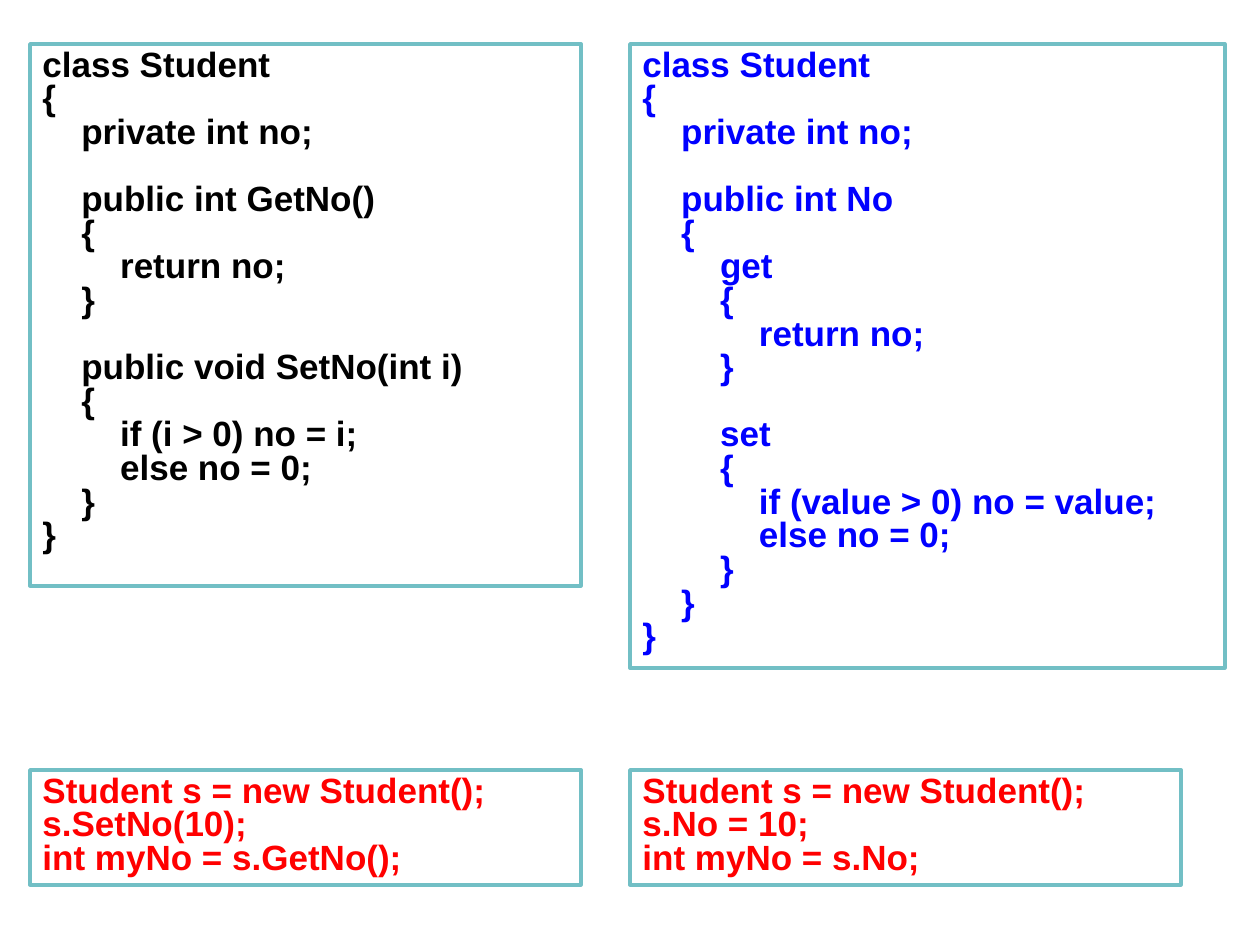
from pptx import Presentation
from pptx.dml.color import RGBColor
from pptx.enum.shapes import MSO_SHAPE as SHAPE
from pptx.enum.text import MSO_ANCHOR as ANCHOR, MSO_AUTO_SIZE as AUTO, PP_ALIGN as ALIGN
from pptx.util import Pt

PX = 914400 / 126  # EMU per px

BLACK = RGBColor(0x00, 0x00, 0x00)
BLUE = RGBColor(0x00, 0x00, 0xFF)
RED = RGBColor(0xFF, 0x00, 0x00)
TEAL = RGBColor(0x72, 0xBF, 0xC5)

LEFT, RIGHT = 30, 630
TOP, BOTTOM = 44, 770
WIDTH, USAGE_HEIGHT = 551, 115

METHODS_CLASS = """class Student
{
    private int no;

    public int GetNo()
    {
        return no;
    }

    public void SetNo(int i)
    {
        if (i > 0) no = i;
        else no = 0;
    }
}"""

PROPERTY_CLASS = """class Student
{
    private int no;

    public int No
    {
        get
        {
            return no;
        }

        set
        {
            if (value > 0) no = value;
            else no = 0;
        }
    }
}"""

METHODS_USAGE = """Student s = new Student();
s.SetNo(10);
int myNo = s.GetNo();"""

PROPERTY_USAGE = """Student s = new Student();
s.No = 10;
int myNo = s.No;"""


def emu(px):
    return round(px * PX)


class CodeSlide:
    font = {"name": "Arial", "size": Pt(20), "bold": True}
    frame = {"word_wrap": True, "auto_size": AUTO.SHAPE_TO_FIT_TEXT,
             "vertical_anchor": ANCHOR.TOP}
    paragraph = {"alignment": ALIGN.LEFT, "line_spacing": 0.8}
    blank_line = Pt(19.2)

    def __init__(self, prs):
        self.s = prs.slides.add_slide(prs.slide_layouts[6])

    def apply(self, target, values):
        for name, value in values.items():
            setattr(target, name, value)

    def code_box(self, x, y, w, h, code, color):
        sp = self.s.shapes.add_shape(SHAPE.RECTANGLE, *map(emu, (x, y, w, h)))
        sp.shadow.inherit = False
        sp.fill.background()
        sp.line.color.rgb = TEAL
        sp.line.width = Pt(2)
        tf = sp.text_frame
        self.apply(tf, self.frame)
        # An empty code line becomes space before the next block
        for i, block in enumerate(code.split("\n\n")):
            for j, line in enumerate(block.split("\n")):
                p = tf.add_paragraph() if i or j else tf.paragraphs[0]
                self.apply(p, self.paragraph)
                if i and not j:
                    p.space_before = self.blank_line
                r = p.add_run()
                r.text = line
                self.apply(r.font, self.font)
                r.font.color.rgb = color


def main():
    prs = Presentation()
    prs.slide_width, prs.slide_height = emu(1260), emu(945)
    slide = CodeSlide(prs)

    # Class definitions
    slide.code_box(LEFT, TOP, WIDTH, 542, METHODS_CLASS, BLACK)
    slide.code_box(RIGHT, TOP, 595, 624, PROPERTY_CLASS, BLUE)

    # Usage examples
    for x, code in ((RIGHT, PROPERTY_USAGE), (LEFT, METHODS_USAGE)):
        slide.code_box(x, BOTTOM, WIDTH, USAGE_HEIGHT, code, RED)

    prs.save("out.pptx")


if __name__ == "__main__":
    main()
